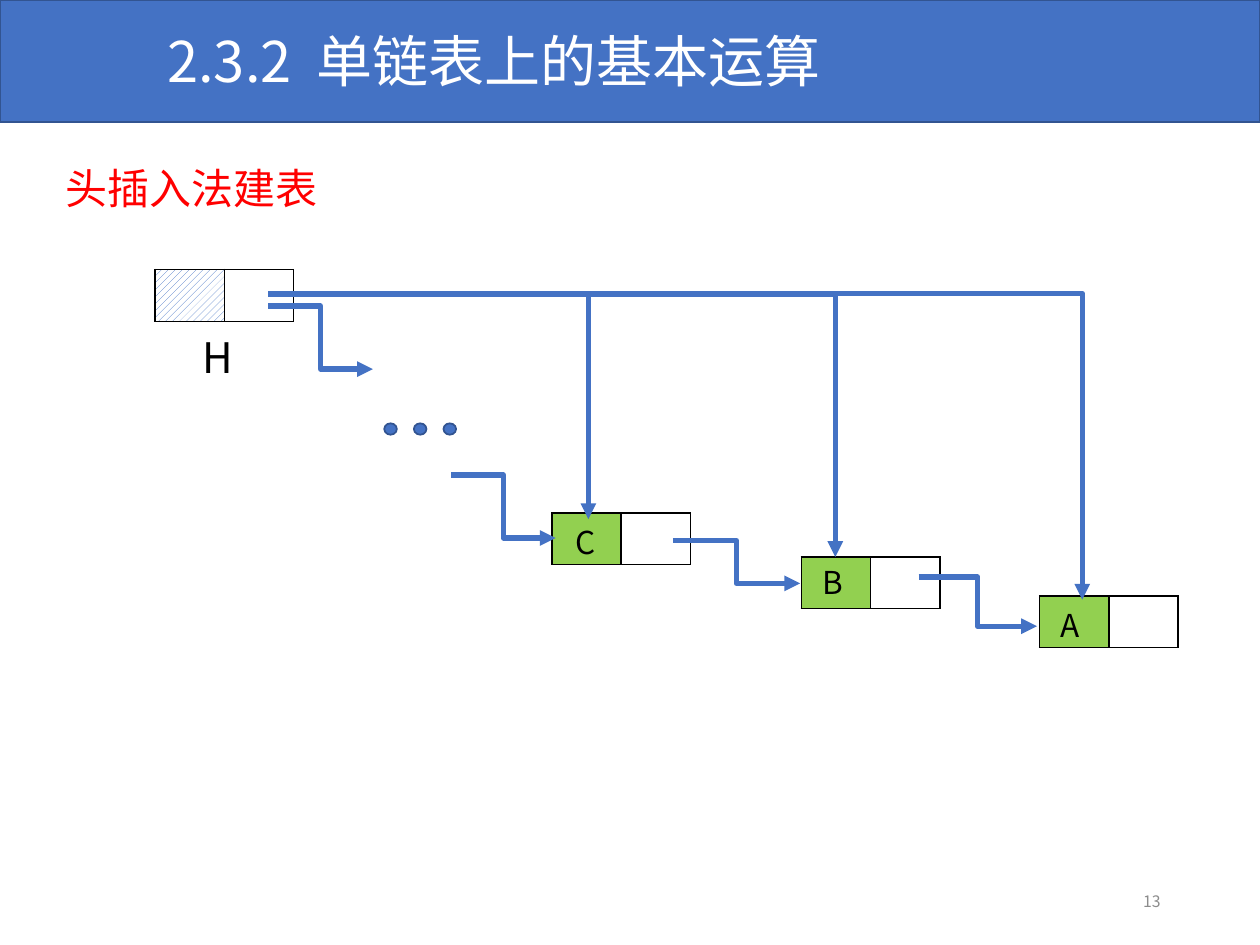
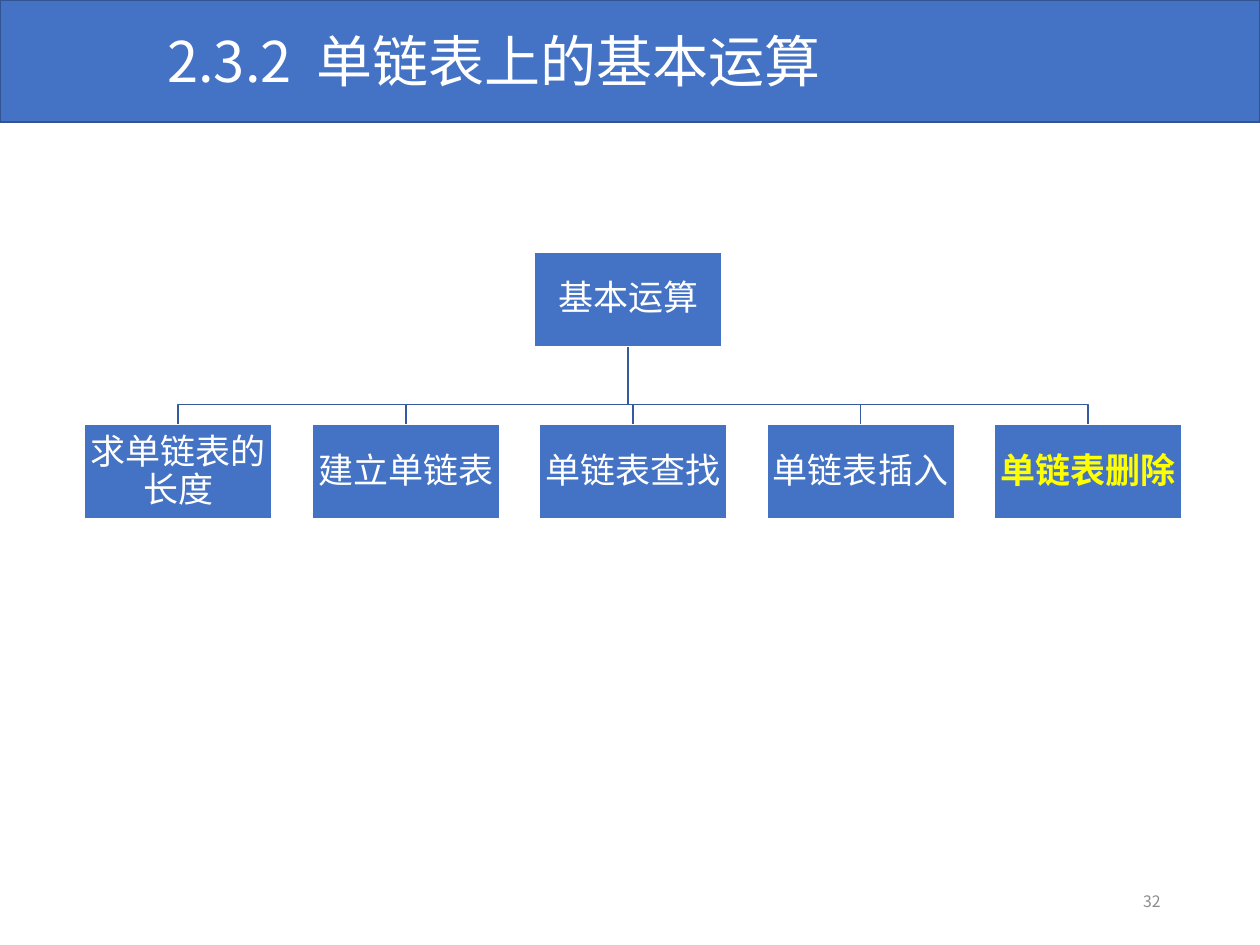
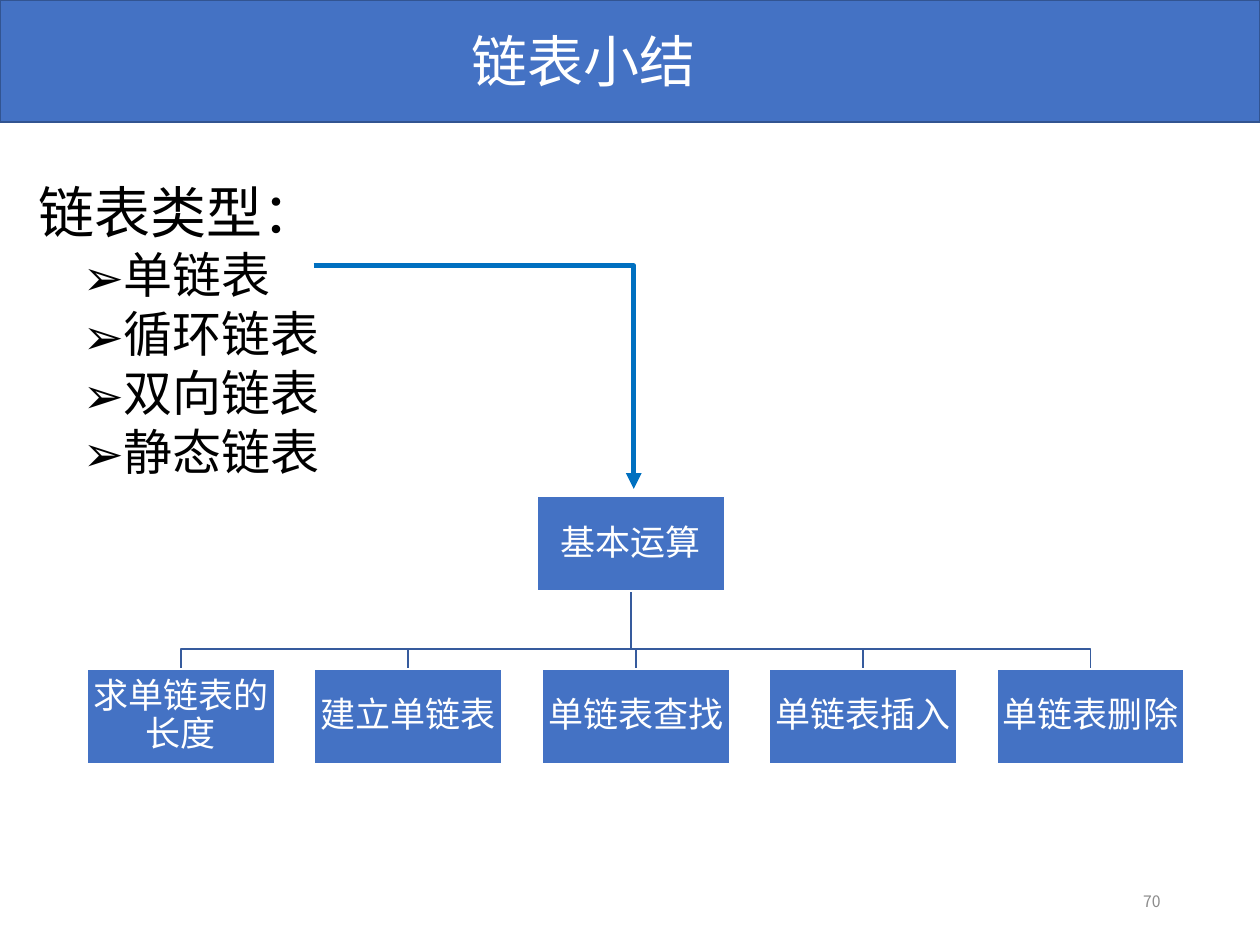
from dataclasses import dataclass
from typing import NamedTuple

from lxml.etree import SubElement
from pptx import Presentation
from pptx.dml.color import RGBColor
from pptx.enum.dml import MSO_PATTERN
from pptx.enum.shapes import MSO_CONNECTOR, MSO_SHAPE
from pptx.enum.text import MSO_ANCHOR, PP_ALIGN
from pptx.oxml.ns import qn
from pptx.oxml.xmlchemy import OxmlElement
from pptx.presentation import Presentation as Deck
from pptx.shapes.autoshape import Shape
from pptx.slide import Slide
from pptx.text.text import TextFrame, _Paragraph as Paragraph
from pptx.util import Emu, Inches, Pt

SLIDE_WIDTH, SLIDE_HEIGHT = Inches(10), Inches(7.5)
COLUMNS, ROWS = 100, 75


@dataclass(frozen=True)
class Theme:
    font: str = "Noto Sans CJK SC"
    white: str = "FFFFFF"
    black: str = "000000"
    blue: str = "4472C4"
    outline: str = "325491"
    branch: str = "365B9D"
    route: str = "0070C0"
    green: str = "92D050"
    red: str = "FF0000"
    yellow: str = "FFFF00"
    gray: str = "8C8C8C"
    title: float = 32
    item: float = 28
    heading: float = 24
    operation: float = 20
    label: float = 18
    number: float = 9
    thin: float = 1
    thick: float = 3


THEME = Theme()


class Point(NamedTuple):
    column: float
    row: float


class Box(NamedTuple):
    column: float
    row: float
    width: float
    height: float


class Run(NamedTuple):
    text: str
    size: float
    color: str = THEME.black
    bold: bool = False
    tracking: float = 0


class Node(NamedTuple):
    corner: Point
    label: str
    label_box: Box
    size: float
    fill: str | None = THEME.green


class Arrow(NamedTuple):
    start: Point
    end: Point
    single_bend: bool = False
    color: str = THEME.blue


CELL_WIDTH, CELL_HEIGHT = 5.5, 4.1
LINK_NODES = [
    Node(Point(12.3, 21.4), "H", Box(15.1, 25.8, 5.2, 5), THEME.heading, None),
    Node(Point(82.5, 47.3), "A", Box(83.2, 47.6, 5.5, 4), THEME.label),
    Node(Point(63.6, 44.2), "B", Box(64.3, 44.2, 4.5, 4), THEME.label),
    Node(Point(43.8, 40.7), "C", Box(44.7, 41, 5.5, 4), THEME.label),
]
LINK_ARROWS = [
    Arrow(Point(53.4, 42.9), Point(63.5, 46.3)),
    Arrow(Point(21.3, 23.3), Point(85.9, 47.6), True),
    Arrow(Point(21.3, 24.3), Point(29.6, 29.3)),
    Arrow(Point(72.9, 45.8), Point(82.3, 49.7)),
    Arrow(Point(21.3, 23.4), Point(66.3, 44.2), True),
    Arrow(Point(35.8, 37.7), Point(44.1, 42.7)),
    Arrow(Point(21.9, 23.3), Point(46.7, 41.2), True),
]
SECTION_TITLE = [
    Run("2.3.2", THEME.title, THEME.white),
    Run(" ", THEME.title, THEME.white, tracking=7),
    Run("单链表上的基本运算", THEME.title, THEME.white),
]
OPERATIONS = ["求单链表的长度", "建立单链表", "单链表查找", "单链表插入", "单链表删除"]
LIST_KINDS = ["单链表", "循环链表", "双向链表", "静态链表"]


def across(columns: float) -> Emu:
    return Emu(round(SLIDE_WIDTH * columns / COLUMNS))


def down(rows: float) -> Emu:
    return Emu(round(SLIDE_HEIGHT * rows / ROWS))


def place(box: Box) -> tuple[Emu, Emu, Emu, Emu]:
    return across(box.column), down(box.row), across(box.width), down(box.height)


def rgb(color: str) -> RGBColor:
    return RGBColor.from_string(color)


def add_run(paragraph: Paragraph, content: Run) -> None:
    run = paragraph.add_run()
    run.text = content.text
    run.font.size = Pt(content.size)
    run.font.bold = content.bold
    run.font.color.rgb = rgb(content.color)
    run.font.name = THEME.font
    properties = run.font._element
    SubElement(properties, qn("a:ea"), typeface=THEME.font)
    if content.tracking:
        properties.set("spc", str(round(content.tracking * 100)))


def add_text(slide: Slide, box: Box, runs: list[Run],
             alignment: PP_ALIGN = PP_ALIGN.LEFT,
             anchor: MSO_ANCHOR = MSO_ANCHOR.TOP) -> TextFrame:
    frame = slide.shapes.add_textbox(*place(box)).text_frame
    frame.word_wrap = True
    frame.vertical_anchor = anchor
    paragraph = frame.paragraphs[0]
    paragraph.alignment = alignment
    for run in runs:
        add_run(paragraph, run)
    return frame


def add_filled(slide: Slide, kind: MSO_SHAPE, box: Box, line: str) -> Shape:
    shape = slide.shapes.add_shape(kind, *place(box))
    shape.shadow.inherit = False
    shape.fill.solid()
    shape.fill.fore_color.rgb = rgb(THEME.blue)
    shape.line.color.rgb = rgb(line)
    shape.line.width = Pt(THEME.thin)
    return shape


def add_cell(slide: Slide, box: Box, color: str | None) -> None:
    table = slide.shapes.add_table(1, 1, *place(box)).table
    table.first_row = False
    table.horz_banding = False
    cell = table.cell(0, 0)
    if color:
        cell.fill.solid()
        cell.fill.fore_color.rgb = rgb(color)
    else:
        cell.fill.patterned()
        cell.fill.pattern = MSO_PATTERN.WIDE_UPWARD_DIAGONAL
        cell.fill.fore_color.rgb = rgb(THEME.blue)
        cell.fill.back_color.rgb = rgb(THEME.white)
    properties = cell._tc.get_or_add_tcPr()
    for index, side in enumerate(("a:lnL", "a:lnR", "a:lnT", "a:lnB")):
        border = OxmlElement(side)
        border.set("w", str(Pt(THEME.thin)))
        fill = SubElement(border, qn("a:solidFill"))
        SubElement(fill, qn("a:srgbClr"), val=THEME.black)
        properties.insert(index, border)


def add_node(slide: Slide, node: Node) -> None:
    for index, color in enumerate((node.fill, THEME.white)):
        column = node.corner.column + index * CELL_WIDTH
        add_cell(slide, Box(column, node.corner.row, CELL_WIDTH, CELL_HEIGHT), color)
    add_text(slide, node.label_box, [Run(node.label, node.size)])


def add_arrow(slide: Slide, arrow: Arrow) -> None:
    connector = slide.shapes.add_connector(
        MSO_CONNECTOR.ELBOW, across(arrow.start.column), down(arrow.start.row),
        across(arrow.end.column), down(arrow.end.row))
    connector.line.color.rgb = rgb(arrow.color)
    connector.line.width = Pt(THEME.thick)
    SubElement(connector.line._get_or_add_ln(), qn("a:tailEnd"), type="triangle")
    properties = connector._element.spPr
    SubElement(properties, qn("a:effectLst"))
    if arrow.single_bend:
        properties.find(qn("a:prstGeom")).set("prst", "bentConnector2")


def add_branch(slide: Slide, points: list[Point]) -> None:
    start, *rest = [(across(point.column), down(point.row)) for point in points]
    builder = slide.shapes.build_freeform(*start)
    builder.add_line_segments(rest, close=False)
    branch = builder.convert_to_shape()
    branch.shadow.inherit = False
    branch.fill.background()
    branch.line.color.rgb = rgb(THEME.branch)
    branch.line.width = Pt(THEME.thin)


def add_operation(slide: Slide, box: Box, text: str, highlighted: bool) -> None:
    frame = add_filled(slide, MSO_SHAPE.RECTANGLE, box, THEME.white).text_frame
    frame.word_wrap = True
    frame.vertical_anchor = MSO_ANCHOR.MIDDLE
    frame.margin_left = frame.margin_right = Inches(0.01)
    frame.margin_top = frame.margin_bottom = Inches(0.01)
    paragraph = frame.paragraphs[0]
    paragraph.alignment = PP_ALIGN.CENTER
    paragraph.line_spacing = 0.9
    color = THEME.yellow if highlighted else THEME.white
    add_run(paragraph, Run(text, THEME.operation, color, highlighted))


def add_operation_tree(slide: Slide, corner: Point, highlighted: str = "") -> None:
    width, height, step = 14.9, 7.5, 18.05
    root = Box(corner.column + 35.7, corner.row, width, height)
    trunk = root.column + width / 2
    bottom = root.row + height
    fork, leaf_row = bottom + 4.6, bottom + 6.2
    leaves = [Box(corner.column + index * step, leaf_row, width, height)
              for index in range(len(OPERATIONS))]
    for leaf in reversed(leaves):
        middle = leaf.column + width / 2
        add_branch(slide, [Point(trunk, bottom), Point(trunk, fork),
                           Point(middle, fork), Point(middle, leaf_row)])
    for box, text in zip([root, *leaves], ["基本运算", *OPERATIONS]):
        add_operation(slide, box, text, text == highlighted)


def add_base_slide(presentation: Deck, title: list[Run], number: str,
                   alignment: PP_ALIGN = PP_ALIGN.LEFT) -> Slide:
    slide = presentation.slides.add_slide(presentation.slide_layouts[6])
    add_filled(slide, MSO_SHAPE.RECTANGLE, Box(0, 0, COLUMNS, 9.7), THEME.outline)
    add_text(slide, Box(12.3, 1.6, 68, 6.4), title, alignment)
    add_text(slide, Box(70.6, 69.5, 22.5, 4), [Run(number, THEME.number, THEME.gray)],
             PP_ALIGN.RIGHT, MSO_ANCHOR.MIDDLE)
    return slide


def add_bullet(frame: TextFrame, text: str) -> None:
    paragraph = frame.add_paragraph()
    properties = paragraph._p.get_or_add_pPr()
    properties.set("marL", str(Inches(0.66)))
    properties.set("indent", str(-Inches(0.31)))
    SubElement(properties, qn("a:buFont"), typeface=THEME.font)
    SubElement(properties, qn("a:buChar"), char="➢")
    add_run(paragraph, Run(text, THEME.item))


def build_head_insertion(presentation: Deck) -> None:
    slide = add_base_slide(presentation, SECTION_TITLE, "13")
    add_text(slide, Box(4.2, 12.4, 25, 5), [Run("头插入法建表", THEME.heading, THEME.red)])
    for node in LINK_NODES:
        add_node(slide, node)
    for arrow in LINK_ARROWS:
        add_arrow(slide, arrow)
    for index in range(3):
        dot = Box(30.5 + index * 2.35, 33.6, 1, 0.9)
        add_filled(slide, MSO_SHAPE.OVAL, dot, THEME.outline)


def build_operations(presentation: Deck) -> None:
    slide = add_base_slide(presentation, SECTION_TITLE, "32")
    add_operation_tree(slide, Point(6.7, 20), "单链表删除")


def build_summary(presentation: Deck) -> None:
    title = [Run("链表小结", THEME.title, THEME.white)]
    slide = add_base_slide(presentation, title, "70", PP_ALIGN.CENTER)
    frame = add_text(slide, Box(2.1, 13.6, 25.5, 25.2), [Run("链表类型：", THEME.title)])
    for kind in LIST_KINDS:
        add_bullet(frame, kind)
    add_operation_tree(slide, Point(6.9, 39.4))
    add_arrow(slide, Arrow(Point(24.9, 21.1), Point(50.3, 38.8), True, THEME.route))


def main() -> None:
    presentation = Presentation()
    presentation.slide_width = SLIDE_WIDTH
    presentation.slide_height = SLIDE_HEIGHT
    build_head_insertion(presentation)
    build_operations(presentation)
    build_summary(presentation)
    presentation.save("out.pptx")


if __name__ == "__main__":
    main()
